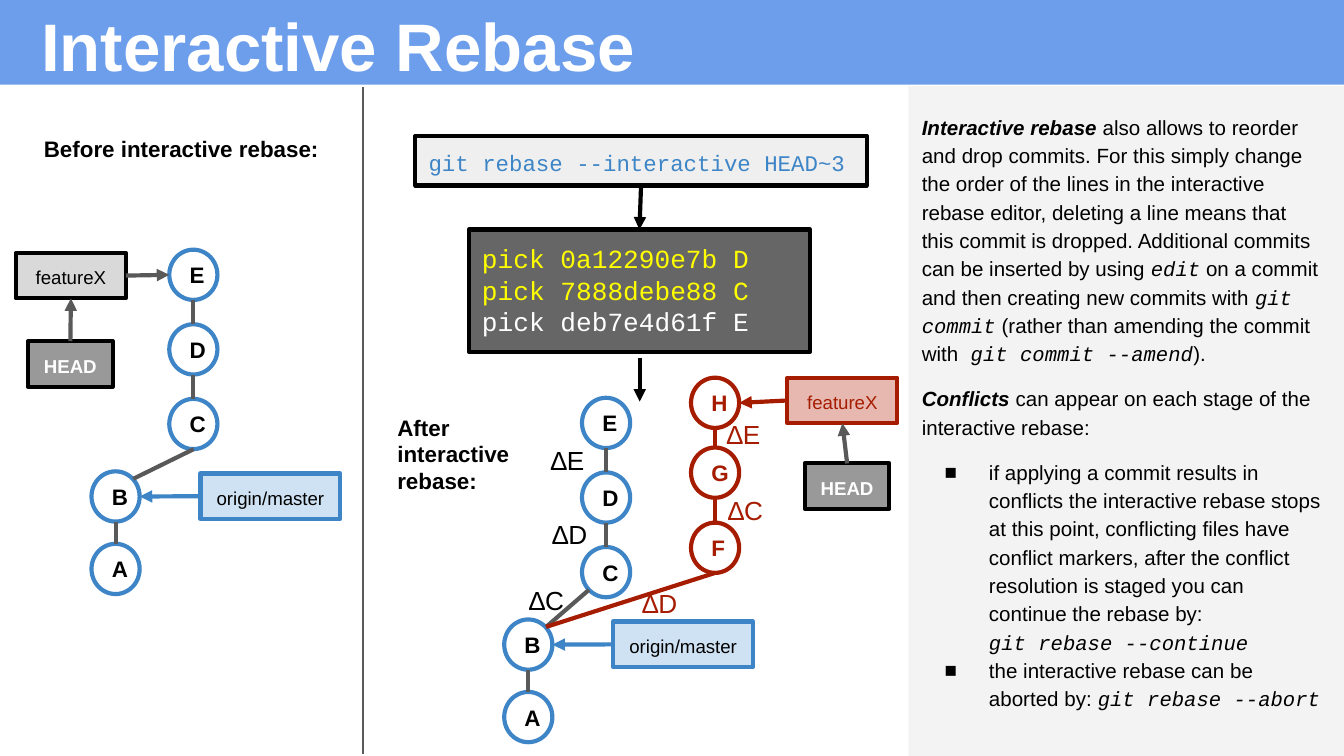
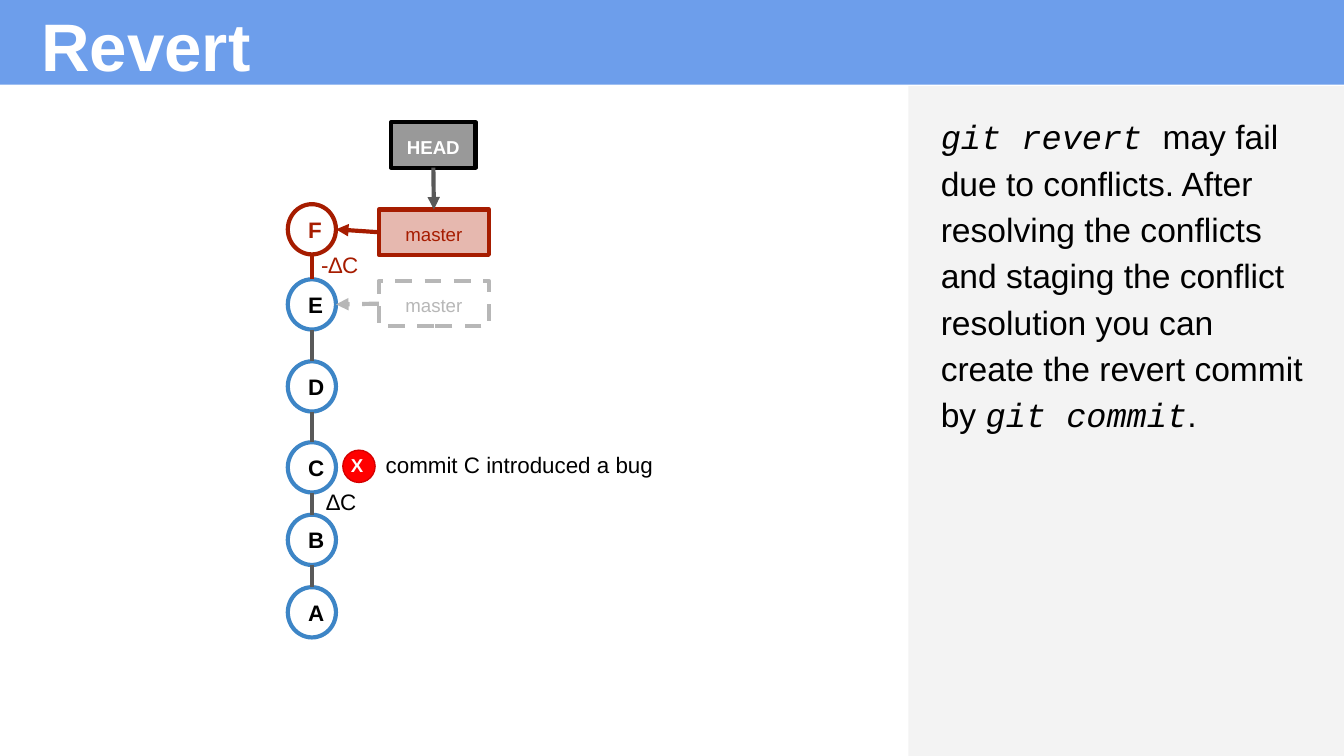
import dataclasses

import lxml.etree
import pptx
import pptx.dml.color
import pptx.enum.dml
import pptx.enum.shapes
import pptx.enum.text
import pptx.oxml.ns
import pptx.util

Cm, Pt = pptx.util.Cm, pptx.util.Pt
ALIGN = pptx.enum.text.PP_ALIGN
ANCHOR = pptx.enum.text.MSO_ANCHOR
SHAPE = pptx.enum.shapes.MSO_SHAPE


@dataclasses.dataclass(frozen=True)
class Theme:
    font: str = "Arial"
    mono: str = "Courier New"
    black: str = "000000"
    white: str = "FFFFFF"
    band: str = "6D9EEB"
    panel: str = "F3F3F3"
    blue: str = "3D85C6"
    red: str = "A61C00"
    grey: str = "595959"
    faded: str = "B7B7B7"
    command: str = "EFEFEF"
    editor: str = "666666"
    yellow: str = "FFFF00"
    bug: str = "FF0000"
    bug_edge: str = "D50000"
    title: int = 36
    lead: int = 18
    large: int = 14
    normal: int = 12
    body: int = 11
    small: int = 10
    stroke: float = 2.25
    hairline: float = 0.75


T = Theme()
CODE = {"font": T.mono, "italic": True}
KEY = {"bold": True, "italic": True}

# Reference labels: width, fill, outline, text colour, bold
HEAD = (1.6, "999999", T.black, T.white, True)
BRANCH = (2.08, "D9D9D9", T.black, T.black, False)
MOVED = (2.08, "E6B8AF", T.red, T.red, False)
STALE = (2.08, None, T.faded, T.faded, False)
REMOTE = (2.64, "CFE2F3", T.blue, T.black, False)

# Commits: outline, letter, link
OLD = (T.blue, T.black, T.grey)
NEW = (T.red, T.red, T.red)


@dataclasses.dataclass(frozen=True)
class Box:
    x: float
    y: float
    w: float
    h: float

    def sub(self, dx, dy, w, h):
        return Box(self.x + dx, self.y + dy, w, h)

    def point(self, dx, dy):
        return Cm(self.x + dx), Cm(self.y + dy)

    def lengths(self):
        return Cm(self.x), Cm(self.y), Cm(self.w), Cm(self.h)


BAND = Box(0, 0, 25.4, 1.6)
BEFORE = Box(0, 1.63, 6.86, 12.66)
AFTER = Box(6.86, 1.63, 10.31, 12.66)
MAIN = Box(0, 1.63, 17.17, 12.66)
PANEL = Box(17.17, 1.63, 8.23, 12.66)


def rgb(color):
    return pptx.dml.color.RGBColor.from_string(color)


def sub_element(parent, tag, **attrs):
    return lxml.etree.SubElement(parent, pptx.oxml.ns.qn(tag), **attrs)


# Text: each paragraph is a string or a list of runs (text or (text, format))
def write(sp, *paras, size=T.normal, color=T.black, bold=False, font=T.font,
          align=ALIGN.LEFT, anchor=ANCHOR.TOP, spacing=None, gap=0):
    tf = sp.text_frame
    tf.word_wrap = True
    tf.auto_size = pptx.enum.text.MSO_AUTO_SIZE.NONE
    tf.vertical_anchor = anchor
    tf.margin_left = tf.margin_right = tf.margin_top = tf.margin_bottom = Cm(0.25)
    for i, para in enumerate(paras):
        p = tf.add_paragraph() if i else tf.paragraphs[0]
        p.alignment = align
        p.space_before = Pt(gap if i else 0)
        if spacing:
            p.line_spacing = spacing
        for run in [para] if isinstance(para, str) else para:
            text, fmt = (run, {}) if isinstance(run, str) else run
            for n, part in enumerate(text.split("\n")):
                if n:
                    p.add_line_break()
                if not part:
                    continue
                r = p.add_run()
                r.text = part
                r.font.name = fmt.get("font", font)
                r.font.size = Pt(size)
                r.font.bold = fmt.get("bold", bold)
                r.font.italic = fmt.get("italic", False)
                r.font.color.rgb = rgb(fmt.get("color", color))
    return sp


def shape(s, box, kind=SHAPE.RECTANGLE, fill=None, line=None, width=T.stroke):
    sp = s.shapes.add_shape(kind, *box.lengths())
    sp.shadow.inherit = False
    if fill:
        sp.fill.solid()
        sp.fill.fore_color.rgb = rgb(fill)
    else:
        sp.fill.background()
    if line:
        sp.line.color.rgb = rgb(line)
        sp.line.width = Pt(width)
    else:
        sp.line.fill.background()
    return sp


def textbox(s, box, text, **fmt):
    return write(s.shapes.add_textbox(*box.lengths()), text, **fmt)


def connect(s, start, end, color=T.grey, width=T.stroke, arrow=False, dash=False):
    c = s.shapes.add_connector(pptx.enum.shapes.MSO_CONNECTOR.STRAIGHT, *start, *end)
    c.line.color.rgb = rgb(color)
    c.line.width = Pt(width)
    if dash:
        c.line.dash_style = pptx.enum.dml.MSO_LINE.DASH
    if arrow:
        sub_element(c.line._get_or_add_ln(), "a:tailEnd", type="triangle")
    sub_element(c.element.spPr, "a:effectLst")


def edge(sp, side):
    fx, fy = {"top": (0.5, 0), "bottom": (0.5, 1), "left": (0, 0.5), "right": (1, 0.5)}[side]
    return int(sp.left + fx * sp.width), int(sp.top + fy * sp.height)


def point_at(s, a, side_a, b, side_b, color=T.grey, dash=False):
    connect(s, edge(a, side_a), edge(b, side_b), color, arrow=True, dash=dash)


# Parts of a commit graph
def label(s, box, dx, dy, text, style):
    w, fill, line, ink, bold = style
    sp = shape(s, box.sub(dx, dy, w, 0.86), fill=fill, line=line)
    if style is STALE:
        sp.line.dash_style = pptx.enum.dml.MSO_LINE.DASH
    return write(sp, text, size=T.small, color=ink, bold=bold, align=ALIGN.CENTER)


def chain(s, box, dx, commits, style=OLD):
    outline, ink, link = style
    made = {}
    above = None
    for name, dy in commits.items():
        sp = shape(s, box.sub(dx, dy, 0.91, 0.95), SHAPE.OVAL, line=outline)
        write(sp, name, color=ink, bold=True, align=ALIGN.CENTER, anchor=ANCHOR.MIDDLE)
        if above is not None:
            connect(s, edge(above, "bottom"), edge(sp, "top"), link)
        made[name] = above = sp
    return made


def feature_history(s, box, fork_end):
    made = chain(s, box, 1.47, {"E": 0, "D": 1.41, "C": 2.82})
    made |= chain(s, box, 0, {"B": 4.19, "A": 5.56})
    connect(s, box.point(0.79, 4.33), box.point(*fork_end))
    remote = label(s, box, 2.06, 4.23, "origin/master", REMOTE)
    point_at(s, remote, "left", made["B"], "right", T.blue)
    return made


def deltas(s, box, items, size):
    for text, dx, dy, color in items:
        textbox(s, box.sub(dx, dy, 1.4, 0.94), text, size=size, color=color)


# Frame shared by the slides: title band and side panel
def new_slide(prs, title):
    s = prs.slides.add_slide(prs.slide_layouts[1])
    for box, fill in ((PANEL, T.panel), (BAND, T.band)):
        s.shapes.element.insert(2, shape(s, box, fill=fill).element)
    sp = s.shapes.title
    sp.left, sp.top, sp.width, sp.height = Box(0.53, -0.25, 21, 2.11).lengths()
    write(sp, title, size=T.title, color=T.white, bold=True, anchor=ANCHOR.BOTTOM)
    return s


def side_text(s, box, paras, size, bullets=0):
    sp = s.placeholders[1]
    sp.left, sp.top, sp.width, sp.height = box.lengths()
    write(sp, *paras, size=size, spacing=1.15, gap=9)
    ps = sp.text_frame.paragraphs
    first_bullet = len(ps) - bullets
    for i, p in enumerate(ps):
        pPr = p._p.get_or_add_pPr()
        if i < first_bullet:
            pPr.set("marL", "0")
            pPr.set("indent", "0")
            sub_element(pPr, "a:buNone")
            continue
        pPr.set("marL", str(Cm(1.27)))
        pPr.set("indent", str(-Cm(0.84)))
        sub_element(sub_element(pPr, "a:buClr"), "a:srgbClr", val=T.black)
        sub_element(pPr, "a:buChar", char="■")
        if i > first_bullet:
            p.space_before = Pt(0)


# Regions of the rebase slide
def before_rebase(s, box):
    textbox(s, box.sub(0.58, 0.68, 6.12, 1.52), "Before interactive rebase:", bold=True)
    commits = feature_history(s, box.sub(1.73, 3.09, 4.7, 6.5), (1.93, 3.77))
    feature = label(s, box, 0.3, 3.15, "featureX", BRANCH)
    head = label(s, box, 0.53, 4.82, "HEAD", HEAD)
    point_at(s, feature, "right", commits["E"], "left")
    point_at(s, head, "top", feature, "bottom")
    connect(s, box.point(box.w, 0.02), box.point(box.w, 12.62), width=T.hairline)


def after_rebase(s, box):
    # Command and editor
    command = shape(s, box.sub(0.99, 0.94, 8.53, 0.94), fill=T.command, line=T.black)
    write(command, "git rebase --interactive HEAD~3", color=T.blue, font=T.mono)
    editor = shape(s, box.sub(2, 2.71, 6.45, 2.31), fill=T.editor, line=T.black)
    write(editor, "pick 0a12290e7b D\npick 7888debe88 C",
          [("pick deb7e4d61f E", {"color": T.white})],
          size=T.large, color=T.yellow, font=T.mono)
    point_at(s, command, "bottom", editor, "top", T.black)
    connect(s, box.point(5.23, 5.13), box.point(5.23, 5.96), T.black, arrow=True)
    textbox(s, box.sub(0.4, 5.94, 2.87, 2.31), "After interactive rebase:", bold=True)

    # Old commits and the rebased ones
    graph = box.sub(2.67, 5.89, 4.7, 6.5)
    feature_history(s, graph, (1.6, 3.63))
    rebased = chain(s, box, 6.2, {"H": 5.51, "G": 6.83, "F": 8.25}, NEW)
    connect(s, graph.point(0.79, 4.33), edge(rebased["F"], "bottom"), T.red)
    feature = label(s, box, 8.02, 5.51, "featureX", MOVED)
    head = label(s, box, 8.35, 7.13, "HEAD", HEAD)
    point_at(s, feature, "left", rebased["H"], "right", T.red)
    point_at(s, head, "top", feature, "bottom")
    deltas(s, box, [("∆C", 2.89, 9.17, T.black), ("∆D", 3.33, 7.92, T.black),
                    ("∆E", 3.3, 6.52, T.black), ("∆C", 6.65, 7.46, T.red),
                    ("∆D", 5.03, 9.22, T.red), ("∆E", 6.63, 6.02, T.red)], T.large)


# Region of the revert slide
def revert_history(s, box):
    commits = chain(s, box, 5.44, {"E": 3.65, "D": 5.2, "C": 6.73, "B": 8.1, "A": 9.47})
    commits |= chain(s, box, 5.44, {"F": 2.23}, NEW)
    connect(s, edge(commits["F"], "bottom"), edge(commits["E"], "top"), T.red)
    head = label(s, box, 7.39, 0.68, "HEAD", HEAD)
    master = label(s, box, 7.16, 2.33, "master", MOVED)
    stale = label(s, box, 7.16, 3.68, "master", STALE)
    point_at(s, head, "bottom", master, "top")
    point_at(s, master, "left", commits["F"], "right", T.red)
    point_at(s, stale, "left", commits["E"], "right", T.faded, dash=True)
    deltas(s, box, [("-∆C", 5.82, 2.87, T.red), ("∆C", 5.92, 7.34, T.black)], T.normal)

    # Bug marker
    textbox(s, box.sub(7.04, 6.65, 5.84, 1.27), "commit C introduced a bug")
    badge = s.shapes.add_group_shape()
    shape(badge, box.sub(6.48, 6.88, 0.61, 0.61), SHAPE.OVAL, T.bug, T.bug_edge, T.hairline)
    textbox(badge, box.sub(6.38, 6.7, 0.86, 0.56), "X",
            size=T.small, color=T.white, bold=True)


REBASE_TEXT = [
    [("Interactive rebase", KEY),
     " also allows to reorder and drop commits. For this simply change the order of the "
     "lines in the interactive rebase editor, deleting a line means that this commit is "
     "dropped. Additional commits can be inserted by using ", ("edit", CODE),
     " on a commit and then creating new commits with ", ("git commit", CODE),
     " (rather than amending the commit with", (" git commit --amend", CODE), ")."],
    [("Conflicts", KEY), " can appear on each stage of the interactive rebase:"],
    ["if applying a commit results in conflicts the interactive rebase stops at this "
     "point, conflicting files have conflict markers, after the conflict resolution is "
     "staged you can continue the rebase by:\n", ("git rebase --continue", CODE)],
    ["the interactive rebase can be aborted by: ", ("git rebase --abort", CODE)],
]
REVERT_TEXT = [
    [("git revert ", CODE),
     "may fail due to conflicts. After resolving the conflicts and staging the conflict "
     "resolution you can create the revert commit by ", ("git commit", CODE), "."],
]


def main():
    prs = pptx.Presentation()
    prs.slide_width, prs.slide_height = Cm(25.4), Cm(14.29)

    s = new_slide(prs, "Interactive Rebase")
    before_rebase(s, BEFORE)
    after_rebase(s, AFTER)
    side_text(s, PANEL.sub(0, 0.22, 8.08, 12.07), REBASE_TEXT, T.body, bullets=2)

    s = new_slide(prs, "Revert")
    revert_history(s, MAIN)
    side_text(s, PANEL.sub(0.36, 0.2, 7.52, 12.07), REVERT_TEXT, T.lead)

    prs.save("out.pptx")


if __name__ == "__main__":
    main()
